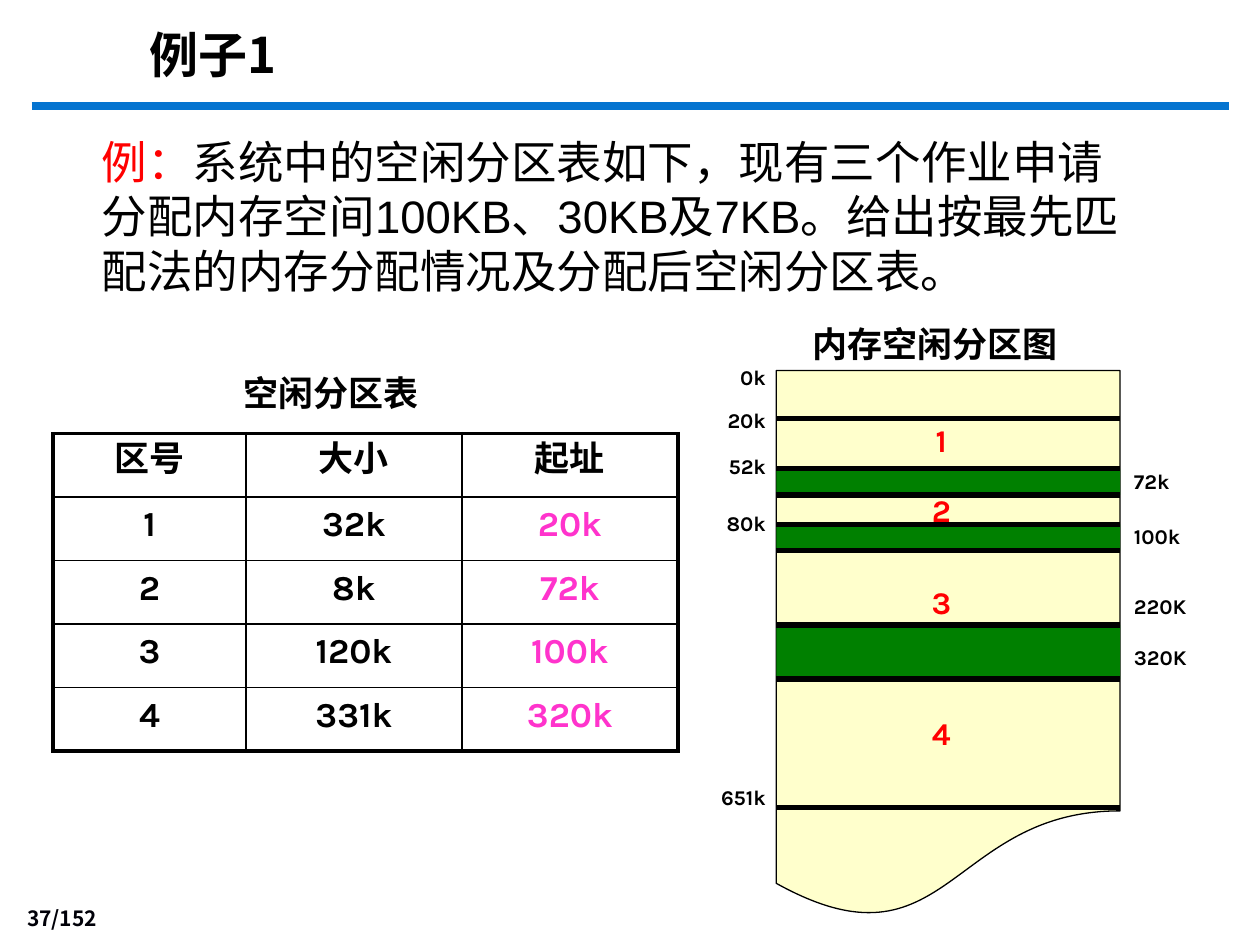
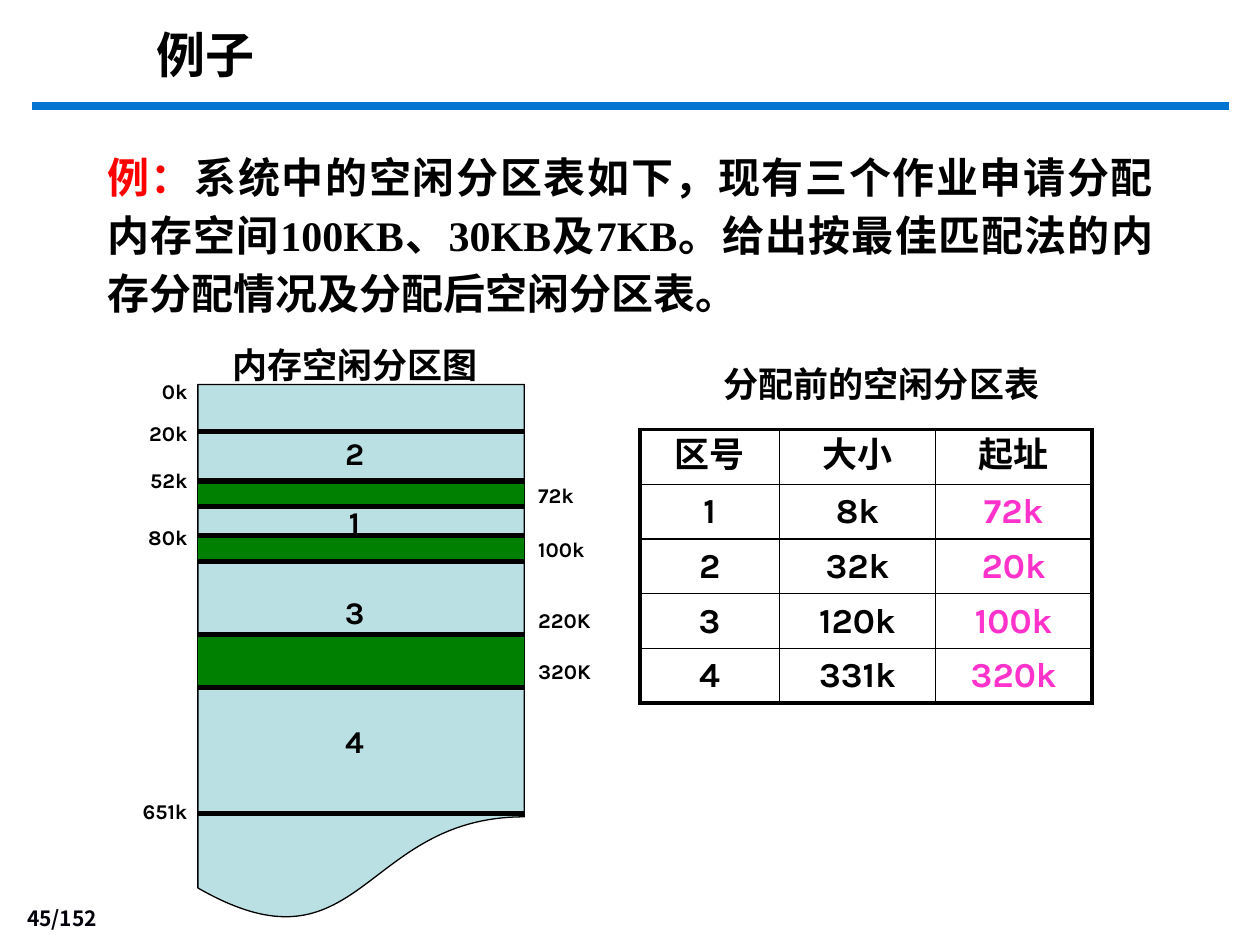
"""Build two slides on free memory partitions: first fit and best fit."""
from dataclasses import dataclass

import pptx
import pptx.dml.color
import pptx.enum.shapes
import pptx.enum.text
import pptx.oxml.ns
import pptx.util
from lxml import etree

Cm = pptx.util.Cm
Pt = pptx.util.Pt
Align = pptx.enum.text.PP_ALIGN
Anchor = pptx.enum.text.MSO_ANCHOR
Kind = pptx.enum.shapes.MSO_SHAPE
qn = pptx.oxml.ns.qn

HUES = {
    "black": "000000", "page": "000008", "rule": "0574D0", "red": "FF0000",
    "pink": "FF33CC", "green": "008000", "cream": "FFFFCC", "ice": "BBE0E3",
}
SANS = "Noto Sans CJK SC"
KARLA = "Karla"
SERIF = "Times New Roman"
HEAD = ("区号", "大小", "起址")
EDGES = (0.97, 1.98, 2.51, 3.1, 3.63, 5.13, 6.22, 8.81)
LEFT = (("0k", 0.13), ("20k", 0.99), ("52k", 1.93), ("80k", 3.08), ("651k", 8.6))
RIGHT = (("72k", 2.23), ("100k", 3.33), ("220K", 4.75), ("320K", 5.77))
SPOTS = (1.4, 2.82, 4.67, 7.31)


@dataclass
class Span:
    text: str
    hue: str = "black"
    font: str = SANS


@dataclass
class Box:
    left: float
    top: float
    width: float
    height: float
    spans: list[Span]
    size: float
    bold: bool = True
    align: Align = Align.LEFT
    anchor: Anchor = Anchor.TOP
    pitch: float = 1.2


@dataclass
class Grid:
    left: float
    top: float
    cols: tuple[float, ...]
    row: float
    rows: tuple[tuple[str, ...], ...]


@dataclass
class Chart:
    left: float
    top: float
    width: float
    height: float
    fill: str
    ink: str
    marks: str


@dataclass
class Page:
    number: str
    boxes: list[Box]
    grid: Grid
    chart: Chart


def tint(name: str) -> pptx.dml.color.RGBColor:
    return pptx.dml.color.RGBColor.from_string(HUES[name])


def style(run, span: Span, size: float, bold: bool) -> None:
    run.font.size = Pt(size)
    run.font.bold = bold
    run.font.color.rgb = tint(span.hue)
    run.font.name = span.font
    east = etree.SubElement(run._r.get_or_add_rPr(), qn("a:ea"))
    east.set("typeface", SANS)


def write(slide, box: Box) -> None:
    shape = slide.shapes.add_textbox(
        Cm(box.left), Cm(box.top), Cm(box.width), Cm(box.height))
    frame = shape.text_frame
    frame.word_wrap = True
    frame.vertical_anchor = box.anchor
    para = frame.paragraphs[0]
    para.alignment = box.align
    para.line_spacing = Pt(box.size * box.pitch)
    for span in box.spans:
        run = para.add_run()
        run.text = span.text
        style(run, span, box.size, box.bold)


def rule(slide, left: float, right: float, y: float, hue: str, width: float) -> None:
    line = slide.shapes.add_connector(
        pptx.enum.shapes.MSO_CONNECTOR.STRAIGHT, Cm(left), Cm(y), Cm(right), Cm(y))
    line.line.color.rgb = tint(hue)
    line.line.width = Pt(width)
    etree.SubElement(line._element.spPr, qn("a:effectLst"))


def block(slide, kind: Kind, left: float, top: float, width: float,
          height: float, hue: str, edge: bool) -> None:
    shape = slide.shapes.add_shape(kind, Cm(left), Cm(top), Cm(width), Cm(height))
    shape.shadow.inherit = False
    shape.fill.solid()
    shape.fill.fore_color.rgb = tint(hue)
    if edge:
        shape.line.color.rgb = tint("black")
        shape.line.width = Pt(0.75)
    else:
        shape.line.fill.background()


def frame_cell(cell, sides: dict[str, float]) -> None:
    props = cell._tc.get_or_add_tcPr()
    for side, width in sides.items():
        line = etree.SubElement(props, qn(f"a:ln{side}"), w=str(Pt(width)))
        fill = etree.SubElement(line, qn("a:solidFill"))
        etree.SubElement(fill, qn("a:srgbClr"), val=HUES["black"])
    cell.fill.background()


def draw_grid(slide, grid: Grid) -> None:
    rows = (HEAD, *grid.rows)
    last = len(rows) - 1
    end = len(HEAD) - 1
    table = slide.shapes.add_table(
        len(rows), len(HEAD), Cm(grid.left), Cm(grid.top),
        Cm(sum(grid.cols)), Cm(grid.row * len(rows))).table
    table.first_row = table.horz_banding = False
    for col, width in zip(table.columns, grid.cols):
        col.width = Cm(width)
    for r, row in enumerate(rows):
        table.rows[r].height = Cm(grid.row)
        for c, text in enumerate(row):
            cell = table.cell(r, c)
            thick = {"L": c == 0, "R": c == end, "T": r == 0, "B": r == last}
            frame_cell(cell, {side: 2.25 if on else 1 for side, on in thick.items()})
            para = cell.text_frame.paragraphs[0]
            para.text = text
            para.alignment = Align.CENTER
            para.line_spacing = Pt(24)
            hue = "pink" if r and c == end else "black"
            style(para.runs[0], Span(text, hue, KARLA), 20, True)


def label(slide, text: str, left: float, mid: float, width: float,
          align: Align, size: float = 12, hue: str = "black") -> None:
    write(slide, Box(left, mid - 0.5, width, 1, [Span(text, hue, KARLA)], size,
                     align=align, anchor=Anchor.MIDDLE))


def draw_chart(slide, chart: Chart) -> None:
    scale = chart.height / 11.07
    right = chart.left + chart.width
    edges = [chart.top + edge * scale for edge in EDGES]
    block(slide, Kind.FLOWCHART_DOCUMENT, chart.left, chart.top,
          chart.width, chart.height, chart.fill, True)
    for top, base in zip(edges[1:7:2], edges[2:7:2]):
        block(slide, Kind.RECTANGLE, chart.left, top, chart.width,
              base - top, "green", False)
    for edge in edges:
        rule(slide, chart.left, right, edge, "black", 3)
    for text, drop in LEFT:
        label(slide, text, chart.left - 1.96, chart.top + drop, 2, Align.RIGHT)
    for text, drop in RIGHT:
        label(slide, text, right + 0.03, chart.top + drop, 2, Align.LEFT)
    for text, drop in zip(chart.marks, SPOTS):
        label(slide, text, chart.left + chart.width * 0.48 - 0.5,
              chart.top + drop * scale, 1, Align.CENTER, 18, chart.ink)


def build(deck, page: Page) -> None:
    slide = deck.slides.add_slide(deck.slide_layouts[6])
    rule(slide, 0.64, 24.77, 2.13, "rule", 4.5)
    write(slide, Box(0, 18.14, 2.21, 0.74,
                     [Span(page.number, "page", "Noto Sans CJK JP")], 12,
                     align=Align.RIGHT, anchor=Anchor.BOTTOM))
    for box in page.boxes:
        write(slide, box)
    draw_grid(slide, page.grid)
    draw_chart(slide, page.chart)


PAGES = [
    Page(
        "37/152",
        [
            Box(2.77, 0.38, 15.29, 1.45, [Span("例子1")], 28),
            Box(1.8, 2.57, 21.41, 3.58, [
                Span("例：", "red", "Arial"),
                Span("系统中的空闲分区表如下，现有三个作业申请分配内存空间100KB、30KB及7KB。"
                     "给出按最先匹配法的内存分配情况及分配后空闲分区表。", font="Arial"),
            ], 26, bold=False),
            Box(2.77, 7.37, 7.82, 1.09, [Span("空闲分区表")], 20, align=Align.CENTER),
            Box(16.13, 6.38, 5.94, 1.12, [Span("内存空闲分区图", font=SERIF)], 20),
        ],
        Grid(1.07, 8.74, (3.89, 4.35, 4.36), 1.28, (
            ("1", "32k", "20k"), ("2", "8k", "72k"),
            ("3", "120k", "100k"), ("4", "331k", "320k"))),
        Chart(15.65, 7.47, 6.93, 11.07, "cream", "red", "1234"),
    ),
    Page(
        "45/152",
        [
            Box(2.9, 0.38, 14.3, 1.45, [Span("例子", font="Arial")], 28),
            Box(1.91, 2.78, 21.59, 3.66, [
                Span("例：", "red"),
                Span("系统中的空闲分区表如下，现有三个作业申请分配内存空间"),
                Span("100KB、30KB", font=SERIF),
                Span("及"),
                Span("7KB", font=SERIF),
                Span("。给出按最佳匹配法的内存分配情况及分配后空闲分区表。"),
            ], 24, align=Align.JUSTIFY, pitch=1.38),
            Box(13.11, 7.19, 9.32, 1.09, [Span("分配前的空闲分区表")], 20,
                align=Align.CENTER),
            Box(4.44, 6.81, 5.64, 1.12, [Span("内存空闲分区图", font=SERIF)], 20),
        ],
        Grid(12.9, 8.66, (2.81, 3.15, 3.15), 1.1, (
            ("1", "8k", "72k"), ("2", "32k", "20k"),
            ("3", "120k", "100k"), ("4", "331k", "320k"))),
        Chart(3.99, 7.75, 6.58, 10.87, "ice", "black", "2134"),
    ),
]


def main() -> None:
    deck = pptx.Presentation()
    deck.slide_width = Cm(25.4)
    deck.slide_height = Cm(19.05)
    for page in PAGES:
        build(deck, page)
    deck.save("out.pptx")


if __name__ == "__main__":
    main()
